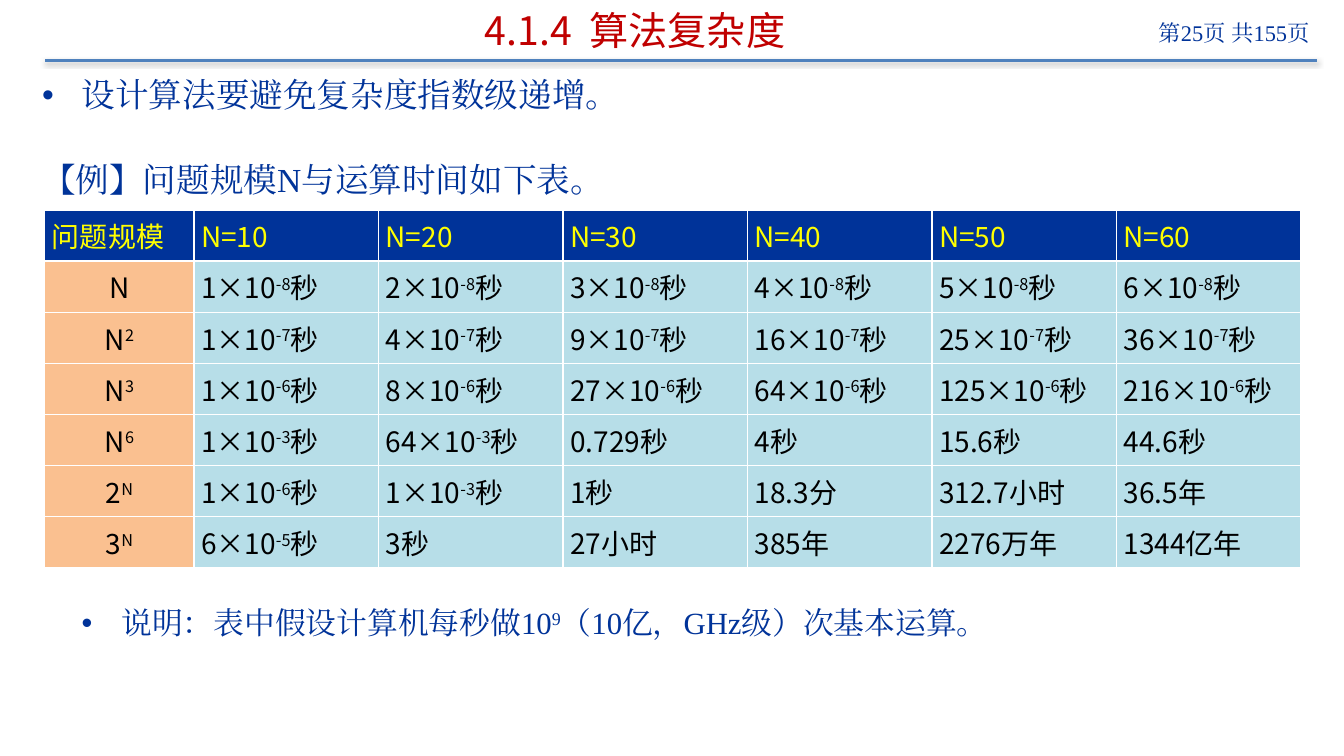
from lxml.etree import SubElement
from pptx import Presentation
from pptx.dml.color import RGBColor
from pptx.enum.shapes import MSO_CONNECTOR
from pptx.enum.text import MSO_ANCHOR, PP_ALIGN
from pptx.oxml import parse_xml
from pptx.oxml.ns import nsdecls, qn
from pptx.util import Cm, Pt

SANS, SERIF = "Noto Sans CJK SC", "Times New Roman"
NAVY, WHITE = "003399", "FFFFFF"
TITLE = {"name": SANS, "size": Pt(28), "bold": False}
PAGE = {"name": SERIF, "size": Pt(16)}
BODY = {"name": SERIF, "size": Pt(24)}
NOTE = {"name": SERIF, "size": Pt(22)}
CELL = {"name": SANS, "size": Pt(20), "bold": False}
CELL_FRAME = {
    "margin_left": Cm(0.18), "margin_right": Cm(0.18),
    "margin_top": 0, "margin_bottom": 0, "vertical_anchor": MSO_ANCHOR.MIDDLE,
}
RUNTIMES = [
    ["问题规模", "N=10", "N=20", "N=30", "N=40", "N=50", "N=60"],
    ["N", *(f"{n}×10^-8^秒" for n in (1, 2, 3, 4, 5, 6))],
    ["N^2", *(f"{n}×10^-7^秒" for n in (1, 4, 9, 16, 25, 36))],
    ["N^3", *(f"{n}×10^-6^秒" for n in (1, 8, 27, 64, 125, 216))],
    ["N^6", "1×10^-3^秒", "64×10^-3^秒", "0.729秒", "4秒", "15.6秒", "44.6秒"],
    ["2^N", "1×10^-6^秒", "1×10^-3^秒", "1秒", "18.3分", "312.7小时", "36.5年"],
    ["3^N", "6×10^-5^秒", "3秒", "27小时", "385年", "2276万年", "1344亿年"],
]


def color(hex_string):
    return RGBColor.from_string(hex_string)


def apply(target, values):
    for key, value in values.items():
        setattr(target, key, value)


def write(paragraph, text, style, ink, align=PP_ALIGN.LEFT):
    paragraph.alignment = align
    for position, part in enumerate(text.split("^")):
        if not part:
            continue
        run = paragraph.add_run()
        run.text = part
        apply(run.font, style)
        run.font.color.rgb = color(ink)
        properties = run.font._element
        SubElement(properties, qn("a:ea"), typeface=style["name"])
        if position % 2:
            properties.set("baseline", "30000")


def add_bullet(paragraph):
    properties = paragraph._p.get_or_add_pPr()
    properties.set("marL", str(Cm(1)))
    properties.set("indent", str(-Cm(1)))
    SubElement(properties, qn("a:buFont"), typeface="Arial")
    SubElement(properties, qn("a:buChar"), char="•")


def add_frame(slide, box):
    frame = slide.shapes.add_textbox(*map(Cm, box)).text_frame
    frame.word_wrap = True
    return frame


def add_header(slide, box):
    left, top, width, height = box
    title = slide.shapes.title
    apply(title, {"left": Cm(left + 0.82), "top": Cm(top),
                  "width": Cm(28.09), "height": Cm(height - 0.05)})
    title.text_frame.vertical_anchor = MSO_ANCHOR.MIDDLE
    write(title.text_frame.paragraphs[0], "4.1.4  算法复杂度", TITLE, "C00000", PP_ALIGN.CENTER)

    page = add_frame(slide, (left + width - 5.69, top + 0.31, 5.74, 1.14))
    write(page.paragraphs[0], "第25页 共155页", PAGE, NAVY, PP_ALIGN.RIGHT)

    rule_y = Cm(top + height)
    rule = slide.shapes.add_connector(
        MSO_CONNECTOR.STRAIGHT, Cm(left), rule_y, Cm(left + width), rule_y)
    rule.line.color.rgb = color("4F81BD")
    rule.line.width = Pt(2)
    rule._element.spPr.append(parse_xml(
        f'<a:effectLst {nsdecls("a")}><a:outerShdw blurRad="{Pt(3.1)}" dist="{Pt(1.6)}" '
        'dir="5400000" rotWithShape="0"><a:srgbClr val="000000"><a:alpha val="38000"/>'
        '</a:srgbClr></a:outerShdw></a:effectLst>'))


def add_introduction(slide, box):
    frame = add_frame(slide, box)
    advice = frame.paragraphs[0]
    add_bullet(advice)
    write(advice, "设计算法要避免复杂度指数级递增。", BODY, NAVY)
    example = frame.add_paragraph()
    example.space_before = Pt(31.5)
    write(example, "【例】问题规模N与运算时间如下表。", BODY, NAVY)


def add_borders(cell):
    properties = cell._tc.get_or_add_tcPr()
    for position, side in enumerate(("lnL", "lnR", "lnT", "lnB")):
        properties.insert(position, parse_xml(
            f'<a:{side} {nsdecls("a")} w="{Pt(1)}"><a:solidFill>'
            f'<a:srgbClr val="{WHITE}"/></a:solidFill></a:{side}>'))


def cell_look(row, column):
    if row == 0:
        return NAVY, "FFFF00", PP_ALIGN.JUSTIFY if column else PP_ALIGN.LEFT
    if column == 0:
        return "FAC090", "000000", PP_ALIGN.CENTER
    return "B7DEE8", "000000", PP_ALIGN.JUSTIFY


def add_runtime_table(slide, box):
    rows, columns = len(RUNTIMES), len(RUNTIMES[0])
    table = slide.shapes.add_table(rows, columns, *map(Cm, box)).table
    label_width = 3.76
    for index, column in enumerate(table.columns):
        column.width = Cm((box[2] - label_width) / (columns - 1) if index else label_width)
    for row_index, values in enumerate(RUNTIMES):
        table.rows[row_index].height = Cm(box[3] / rows)
        for column_index, value in enumerate(values):
            cell = table.cell(row_index, column_index)
            background, ink, align = cell_look(row_index, column_index)
            apply(cell, CELL_FRAME)
            cell.fill.solid()
            cell.fill.fore_color.rgb = color(background)
            add_borders(cell)
            write(cell.text_frame.paragraphs[0], value, CELL, ink, align)


def add_note(slide, box):
    note = add_frame(slide, box).paragraphs[0]
    add_bullet(note)
    write(note, "说明：表中假设计算机每秒做10^9^（10亿，GHz级）次基本运算。", NOTE, NAVY)


def main():
    deck = Presentation()
    apply(deck, {"slide_width": Cm(33.87), "slide_height": Cm(19.05)})
    slide = deck.slides.add_slide(deck.slide_layouts[5])
    add_header(slide, (1.14, 0.05, 32.06, 1.47))
    add_introduction(slide, (0.81, 1.75, 32.36, 3.4))
    add_runtime_table(slide, (1.13, 5.29, 31.66, 9.03))
    add_note(slide, (1.81, 15.1, 31.36, 1.2))
    deck.save("out.pptx")


if __name__ == "__main__":
    main()
